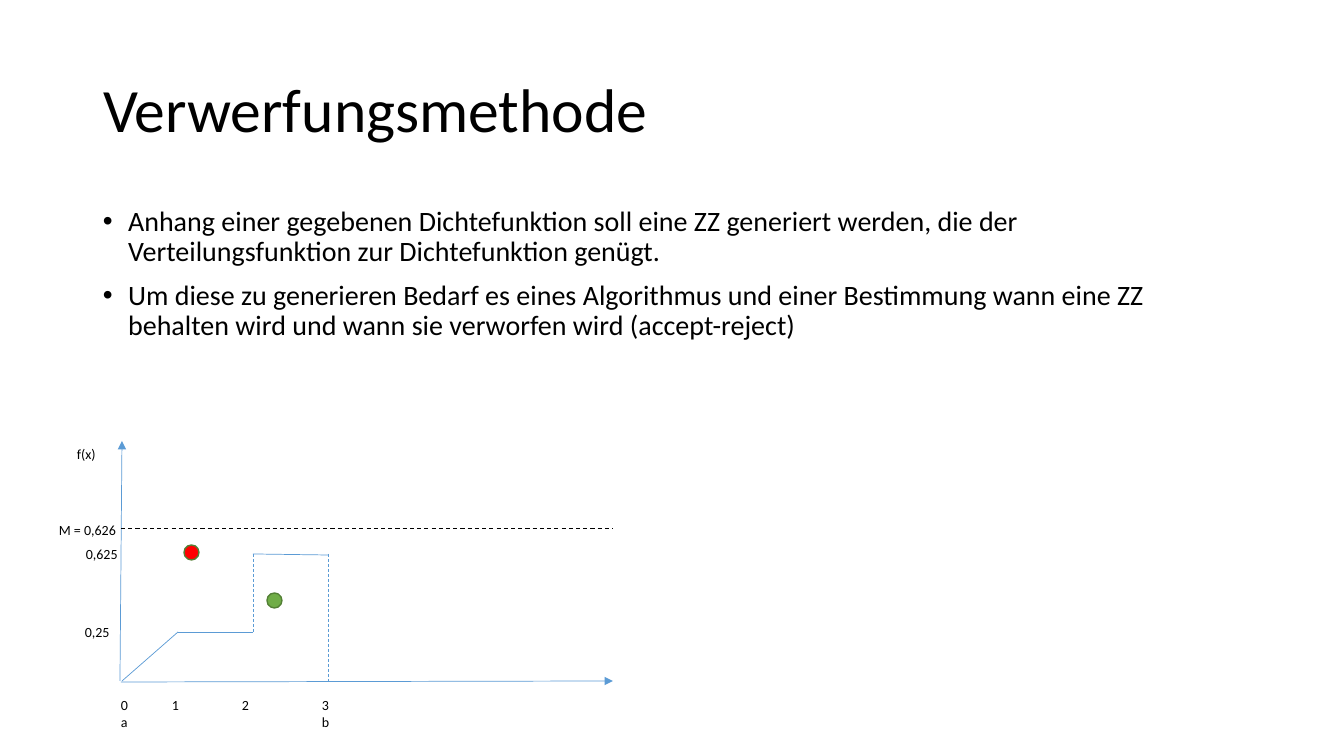
from pptx import Presentation
from pptx.dml.color import RGBColor
from pptx.enum.dml import MSO_LINE_DASH_STYLE as Dash
from pptx.enum.shapes import MSO_CONNECTOR as Connector, MSO_SHAPE as Shape
from pptx.enum.text import MSO_ANCHOR as Anchor, MSO_AUTO_SIZE as AutoSize, PP_ALIGN as Align
from pptx.oxml.ns import qn
from pptx.util import Emu, Pt
from lxml.etree import SubElement

COLORS = {"text": "000000", "curve": "5B9BD5", "accept": "70AD47",
          "reject": "FF0000", "point_edge": "538035"}
FONT = "Calibri"
EMU_PER_PX = 914400 / 100.8
ORIGIN, STEP_LEFT, STEP_RIGHT, AXIS_END = 121, 253, 328, 613
BASE, LOW, HIGH, BOUND = 681, 632, 554, 529


def px(length):
    return Emu(round(length * EMU_PER_PX))


def color(name):
    return RGBColor.from_string(COLORS[name])


def add_run(paragraph, text, size):
    run = paragraph.add_run()
    run.text = text
    run.font.size = Pt(size)
    run.font.name = FONT
    run.font.color.rgb = color("text")


def add_text(slide, box, lines, size):
    frame = slide.shapes.add_textbox(*map(px, box)).text_frame
    frame.word_wrap = True
    for index, line in enumerate(lines):
        paragraph = frame.add_paragraph() if index else frame.paragraphs[0]
        add_run(paragraph, line, size)
    return frame.paragraphs


def set_title(slide, box, text):
    title = slide.shapes.title
    title.left, title.top, title.width, title.height = map(px, box)
    frame = title.text_frame
    frame.word_wrap = True
    frame.auto_size = AutoSize.NONE
    frame.vertical_anchor = Anchor.MIDDLE
    heading = frame.paragraphs[0]
    heading.alignment = Align.LEFT
    heading.line_spacing = 0.9
    add_run(heading, text, 44)


def add_bullets(slide, box, lines):
    for paragraph in add_text(slide, box, lines, 20):
        paragraph.line_spacing = 0.9
        paragraph.space_before = Pt(10)
        properties = paragraph._p.get_or_add_pPr()
        indent = px(25.2)
        properties.set("marL", str(indent))
        properties.set("indent", str(-indent))
        SubElement(properties, qn("a:buFont")).set("typeface", "Arial")
        SubElement(properties, qn("a:buChar")).set("char", "•")


def add_axis_labels(slide, box, lines, stops):
    for paragraph, positions in zip(add_text(slide, box, lines, 10), stops):
        tabs = SubElement(paragraph._p.get_or_add_pPr(), qn("a:tabLst"))
        for position in positions:
            tab = SubElement(tabs, qn("a:tab"))
            tab.set("pos", str(px(position)))
            tab.set("algn", "l")


def add_line(slide, start, end, stroke="curve", width=0.5, dashed=False, arrow=False):
    connector = slide.shapes.add_connector(Connector.STRAIGHT, *map(px, start + end))
    connector.line.color.rgb = color(stroke)
    connector.line.width = Pt(width)
    if dashed:
        connector.line.dash_style = Dash.DASH
    if arrow:
        SubElement(connector.line._get_or_add_ln(), qn("a:tailEnd")).set("type", "triangle")
    SubElement(connector._element.spPr, qn("a:effectLst"))


def add_point(slide, left, top, fill):
    point = slide.shapes.add_shape(Shape.OVAL, *map(px, (left, top, 15, 15)))
    point.shadow.inherit = False
    point.fill.solid()
    point.fill.fore_color.rgb = color(fill)
    point.line.color.rgb = color("point_edge")
    point.line.width = Pt(1)


def add_density(slide):
    add_line(slide, (120, BASE), (122, 441), arrow=True)
    add_line(slide, (ORIGIN, 682), (AXIS_END, BASE), arrow=True)
    add_line(slide, (ORIGIN, BOUND), (AXIS_END, BOUND), "text", 0.75, dashed=True)

    add_line(slide, (122, BASE), (178, LOW))
    add_line(slide, (178, LOW), (STEP_LEFT, LOW))
    add_line(slide, (STEP_LEFT, HIGH), (STEP_RIGHT, HIGH + 1))
    add_line(slide, (STEP_LEFT, HIGH), (STEP_LEFT, LOW), dashed=True)
    add_line(slide, (STEP_RIGHT, HIGH), (STEP_RIGHT, BASE), dashed=True)

    for label, left, top, width in (("f(x)", 67, 441, 43), ("M = 0,626", 49, 517, 79),
                                    ("0,625", 76, 541, 60), ("0,25", 75, 619, 60)):
        add_text(slide, (left, top, width, 27), [label], 10)
    add_axis_labels(slide, (111, 692, 491, 44), ["0\t1\t2\t3", "a\tb"],
                    [(51, 121, 201), (201,)])

    add_point(slide, 267, 593, "accept")
    add_point(slide, 184, 545, "reject")


def main():
    deck = Presentation()
    deck.slide_width, deck.slide_height = px(1344), px(756)
    slide = deck.slides.add_slide(deck.slide_layouts[5])
    set_title(slide, (93, 40, 1159, 146), "Verwerfungsmethode")
    add_bullets(slide, (93, 202, 1159, 480), [
        "Anhang einer gegebenen Dichtefunktion soll eine ZZ generiert werden, "
        "die der Verteilungsfunktion zur Dichtefunktion genügt.",
        "Um diese zu generieren Bedarf es eines Algorithmus und einer Bestimmung "
        "wann eine ZZ behalten wird und wann sie verworfen wird (accept-reject)",
    ])
    add_density(slide)
    deck.save("out.pptx")


main()
